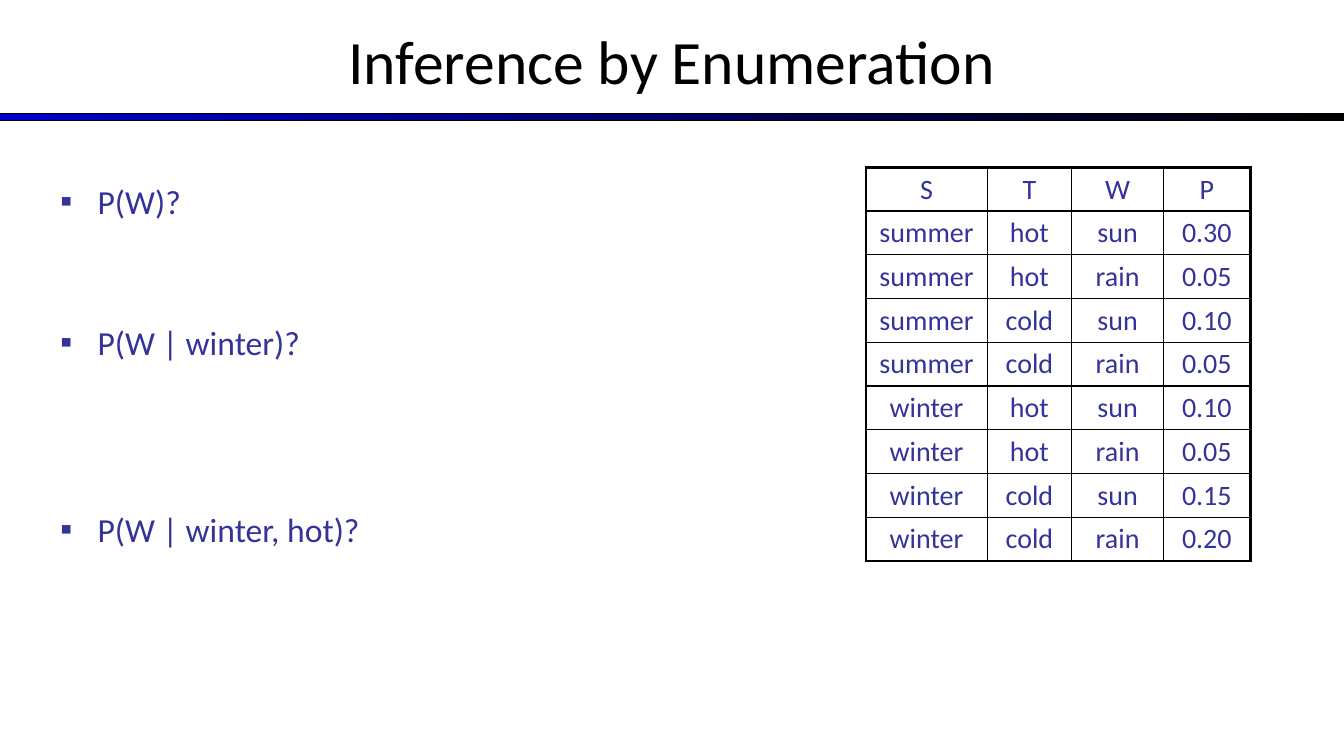
import itertools
import lxml.etree
import pptx
import pptx.util
import pptx.dml.color
import pptx.enum.shapes
import pptx.enum.text
import pptx.oxml.ns

title = "Inference by Enumeration"
asks = [(0, "P(W)?"), (3, "P(W | winter)?"), (4, "P(W | winter, hot)?")]
heads = ("S", "T", "W", "P")
states = itertools.product(("summer", "winter"), ("hot", "cold"), ("sun", "rain"))
odds = ("0.30", "0.05", "0.10", "0.05", "0.10", "0.05", "0.15", "0.20")
rows = [heads] + [(*state, odd) for state, odd in zip(states, odds)]
widths = (1.2, 0.84, 0.91, 0.86)

theme = {
    "font": "Calibri", "black": "000000", "blue": "0000CC", "ink": "333399",
    "title": 44, "body": 24, "cell": 20, "thin": 1, "thick": 2.25,
    "line": 29.3, "pitch": 33.6,
}

Inches = pptx.util.Inches
Pt = pptx.util.Pt
align = pptx.enum.text.PP_ALIGN
anchor = pptx.enum.text.MSO_ANCHOR


def tint(name):
    return pptx.dml.color.RGBColor.from_string(theme[name])


def put(thing, values):
    for name, value in values.items():
        setattr(thing, name, value)


def add(parent, tag, **attrs):
    return lxml.etree.SubElement(parent, pptx.oxml.ns.qn(tag), attrs)


def write(para, text, size, hue, **format):
    run = para.add_run()
    run.text = text
    put(run.font, {"name": theme["font"], "size": Pt(theme[size])})
    run.font.color.rgb = tint(hue)
    put(para, format)


def box(slide, place, side):
    frame = slide.shapes.add_textbox(*map(Inches, place)).text_frame
    put(frame, {"word_wrap": True, "vertical_anchor": side})
    return frame


def mark(para):
    props = para._p.get_or_add_pPr()
    props.set("marL", str(Inches(0.37)))
    props.set("indent", str(-Inches(0.37)))
    hue = add(props, "a:buClr")
    add(hue, "a:srgbClr", val=theme["ink"])
    add(props, "a:buFont", typeface=theme["font"])
    add(props, "a:buChar", char="▪")


def edge(cell, sides):
    props = cell._tc.get_or_add_tcPr()
    for side, outer in sides.items():
        width = Pt(theme["thick" if outer else "thin"])
        line = add(props, "a:ln" + side, w=str(width))
        fill = add(line, "a:solidFill")
        add(fill, "a:srgbClr", val=theme["black"])


def draw_bar(slide):
    kind = pptx.enum.shapes.MSO_SHAPE.RECTANGLE
    bar = slide.shapes.add_shape(kind, *map(Inches, (0, 1.13, 13.33, 0.07)))
    bar.shadow.inherit = False
    bar.fill.gradient()
    bar.fill.gradient_angle = 0
    for stop, hue in zip(bar.fill.gradient_stops, ("blue", "black")):
        stop.color.rgb = tint(hue)
    bar.line.color.rgb = tint("black")
    bar.line.width = Pt(0.75)


def draw_asks(slide):
    frame = box(slide, (0.5, 1.75, 4.42, 4.95), anchor.TOP)
    for place, (lines, text) in enumerate(asks):
        para = frame.add_paragraph() if place else frame.paragraphs[0]
        gap = max(0, lines * theme["pitch"] - theme["line"])
        write(para, text, "body", "ink", space_before=Pt(gap))
        mark(para)


def draw_table(slide):
    high = 0.43
    place = (8.59, 1.66, sum(widths), high * len(rows))
    table = slide.shapes.add_table(len(rows), len(heads), *map(Inches, place)).table
    put(table, {"first_row": False, "horz_banding": False})
    for col, width in zip(table.columns, widths):
        col.width = Inches(width)
    for y, row in enumerate(rows):
        table.rows[y].height = Inches(high)
        for x, text in enumerate(row):
            cell = table.cell(y, x)
            write(cell.text_frame.paragraphs[0], text, "cell", "ink",
                  alignment=align.CENTER)
            edge(cell, {"L": x == 0, "R": x == len(heads) - 1,
                        "T": y == 0, "B": y == len(rows) - 1})
            cell.fill.background()


def main():
    deck = pptx.Presentation()
    put(deck, {"slide_width": Inches(13.33), "slide_height": Inches(7.5)})
    slide = deck.slides.add_slide(deck.slide_layouts[6])
    draw_bar(slide)
    frame = box(slide, (0, -0.03, 13.33, 1.25), anchor.MIDDLE)
    write(frame.paragraphs[0], title, "title", "black", alignment=align.CENTER)
    draw_asks(slide)
    draw_table(slide)
    deck.save("out.pptx")


if __name__ == "__main__":
    main()
